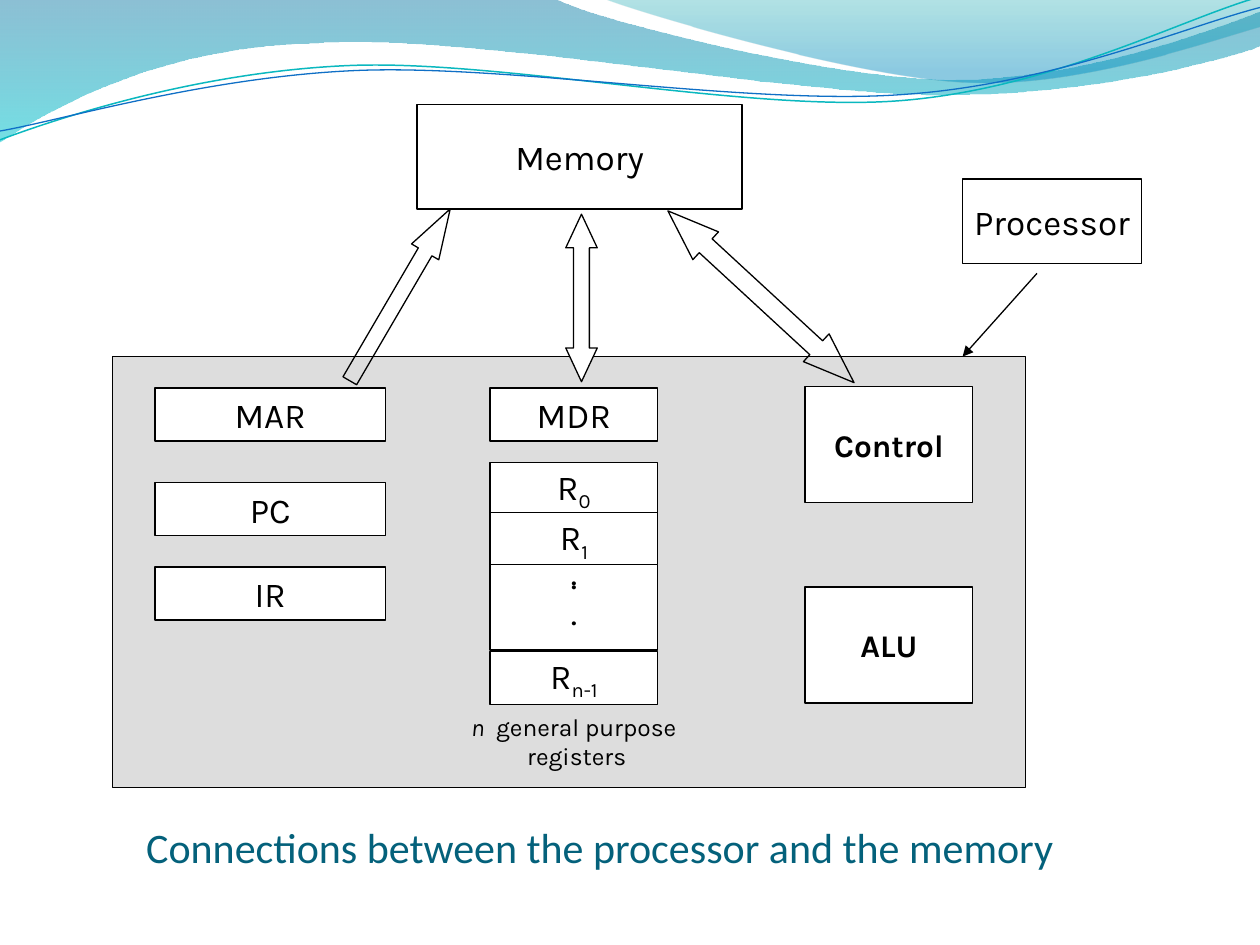
from math import cos, radians, sin

from lxml import etree
from pptx import Presentation
from pptx.dml.color import RGBColor
from pptx.enum import shapes, text
from pptx.oxml.ns import qn
from pptx.util import Inches, Pt

BLACK = RGBColor(0, 0, 0)
WHITE = RGBColor(0xFF, 0xFF, 0xFF)
PANEL_GREY = RGBColor(0xDD, 0xDD, 0xDD)
TITLE_TEAL = RGBColor(0x04, 0x61, 0x7B)
DEEP_BLUE = RGBColor(0x00, 0x74, 0xA1)
AQUA = RGBColor(0x00, 0xC6, 0xCF)
SEA_GREEN = RGBColor(0x00, 0xA1, 0xA9)
SKY_BLUE = RGBColor(0x00, 0x8B, 0xBF)
LINE_TEAL = RGBColor(0x0A, 0xB8, 0xBF)
LINE_BLUE = RGBColor(0x0F, 0x6F, 0xC6)

LABEL = {"name": "Karla", "size": Pt(20)}
UNIT = {"name": "Karla", "size": Pt(18), "bold": True}
NOTE = {"name": "Karla", "size": Pt(14)}
SUBSCRIPT = {"baseline": -25000}
TILT = 2.7


def add_outline(page, points, sizes, close):
    """Draw a start point, then segments of one point (line) or three (curve)."""
    points = [(Inches(x), Inches(y)) for x, y in points]
    builder = page.shapes.build_freeform(*points[0])
    builder.add_line_segments(points[1:], close=close)
    outline = builder.convert_to_shape()
    outline.shadow.inherit = False
    segments = iter(list(outline._element.iter(qn("a:lnTo"))))
    for size in sizes:
        first = next(segments)
        if size == 3:
            first.addprevious(curve := etree.Element(qn("a:cubicBezTo")))
            for part in (first, next(segments), next(segments)):
                curve.append(part[0])
                part.getparent().remove(part)
    return outline


def path_points(start, segments):
    points = [start]
    for segment in segments:
        points += zip(segment[::2], segment[1::2])
    return points, [len(segment) // 2 for segment in segments]


def add_wave(page, start, segments, stops):
    """Fill a wave from top to bottom; each stop is position, colour, opacity."""
    wave = add_outline(page, *path_points(start, segments), True)
    wave.line.fill.background()
    wave.fill.gradient()
    wave.fill.gradient_angle = 270
    for stop, (position, colour, _) in zip(wave.fill.gradient_stops, stops):
        stop.position = position
        stop.color.rgb = colour
    colours = wave.fill._xPr.iter(qn("a:srgbClr"))
    for element, (_, _, opacity) in zip(colours, stops):
        etree.SubElement(element, qn("a:alpha")).set("val", str(opacity * 1000))


def add_wave_line(page, centre, start, segments, colour, width):
    """Draw a line level, then tilt it about its centre onto the given points."""
    points, sizes = path_points(start, segments)
    (cx, cy), s, c = centre, sin(radians(TILT)), cos(radians(TILT))
    level = [(cx + (x - cx) * c - (y - cy) * s, cy + (x - cx) * s + (y - cy) * c)
             for x, y in points]
    stroke = add_outline(page, level, sizes, False)
    stroke.rotation = 360 - TILT
    stroke.fill.background()
    stroke.line.color.rgb = colour
    stroke.line.width = Pt(width)


def draw_waves(page):
    add_wave(page, (0, 0),
             [(4.4, -0.01), (4.76, 0.17, 6.64, 0.63, 7.58, 0.63),
              (8.53, 0.63, 9.58, 0.26, 10, 0.09), (10.01, 0.36),
              (9.83, 0.44, 8.7, 0.76, 7.46, 0.75),
              (6.22, 0.75, 3.82, 0.28, 2.57, 0.34),
              (1.29, 0.36, 0.46, 0.83, -0.01, 1.13)],
             [(0, DEEP_BLUE, 45), (1, AQUA, 55)])
    add_wave(page, (4.79, -0.01),
             [(5.09, 0.11, 6.82, 0.62, 7.69, 0.65),
              (8.56, 0.69, 9.61, 0.32, 10, 0.21), (10, 0)],
             [(0, SEA_GREEN, 30), (0.8, SKY_BLUE, 45)])
    add_wave_line(page, (4.99, 0.58), (0, 1.11),
                  [(0.48, 0.93, 1.58, 0.57, 2.77, 0.52),
                   (3.95, 0.47, 5.93, 0.89, 7.13, 0.8),
                   (8.33, 0.71, 9.38, 0.15, 9.98, -0.02)], LINE_TEAL, 0.85)
    add_wave_line(page, (5, 0.59), (0, 1.04),
                  [(0.47, 0.96, 1.64, 0.61, 2.83, 0.56),
                   (4.03, 0.51, 5.97, 0.84, 7.17, 0.75),
                   (8.36, 0.67, 9.41, 0.21, 10, 0.06)], LINE_BLUE, 0.75)


def write(shape, paras, font, spacings=()):
    """Fill a shape with centred paragraphs, each a list of (text, extra format)."""
    frame = shape.text_frame
    frame.word_wrap = False
    frame.vertical_anchor = text.MSO_ANCHOR.MIDDLE
    for index, spans in enumerate(paras):
        para = frame.paragraphs[0] if index == 0 else frame.add_paragraph()
        para.alignment = text.PP_ALIGN.CENTER
        if index < len(spacings):
            para.line_spacing = spacings[index]
        for words, extra in spans:
            span = para.add_run()
            span.text = words
            span.font.color.rgb = BLACK
            for key, value in {**font, **extra}.items():
                if key == "baseline":
                    span.font._element.set(key, str(value))
                else:
                    setattr(span.font, key, value)


def add_figure(page, kind, left, top, width, height, fill=WHITE):
    figure = page.shapes.add_shape(kind, Inches(left), Inches(top),
                                   Inches(width), Inches(height))
    figure.shadow.inherit = False
    if fill is None:
        figure.fill.background()
    else:
        figure.fill.solid()
        figure.fill.fore_color.rgb = fill
    figure.line.color.rgb = BLACK
    figure.line.width = Pt(0.75)
    return figure


def add_box(page, left, top, width, height, *spans, font=LABEL):
    box = add_figure(page, shapes.MSO_SHAPE.RECTANGLE, left, top, width, height)
    write(box, [spans], font)


def draw_processor(page, left, top, width, height):
    add_figure(page, shapes.MSO_SHAPE.RECTANGLE, left, top, width, height, PANEL_GREY)
    row, column = 0.42, 1.33
    for name, offset in (("MAR", 0.25), ("PC", 1), ("IR", 1.67)):
        add_box(page, left + 0.34, top + offset, 1.83, row, (name, {}))

    middle = left + 3
    add_box(page, middle, top + 0.25, column, row, ("MDR", {}))
    for index, offset in (("0", 0.84), ("1", 1.24), ("n-1", 2.34)):
        add_box(page, middle, top + offset, column, row, ("R", {}), (index, SUBSCRIPT))
    dots = add_figure(page, shapes.MSO_SHAPE.RECTANGLE, middle, top + 1.65, column, 0.68)
    write(dots, [[(".", {})]] * 3, LABEL, spacings=(0.1, 0.1))

    for name, offset in (("Control", 0.24), ("ALU", 1.83)):
        add_box(page, left + 5.5, top + offset, column, 0.92, (name, {}), font=UNIT)

    note = page.shapes.add_textbox(Inches(middle - 0.25), Inches(top + 2.84),
                                   Inches(column + 0.5), Inches(row))
    write(note, [[("n", {"italic": True}), ("  general purpose", {})],
                 [(" registers", {})]], NOTE)
    note.text_frame.margin_left = note.text_frame.margin_right = 0


def draw_arrows(page):
    both, up = shapes.MSO_SHAPE.UP_DOWN_ARROW, shapes.MSO_SHAPE.UP_ARROW
    for kind, place, ratios, turn, fill in (
            (both, (4.49, 1.7, 0.25, 1.33), {"adj1": 0.5, "adj2": 1.07}, 0, WHITE),
            (up, (3.05, 1.55, 0.25, 1.58), {"adj1": 0.5, "adj2": 1.58}, 30.3, None),
            (both, (5.89, 1.35, 0.3, 2.01), {"adj1": 0.5, "adj2": 1.36}, 312.7, None)):
        arrow = add_figure(page, kind, *place, fill=fill)
        arrow.rotation = turn
        arrow.adjustments[0] = 0.5
        for guide in arrow._element.iter(qn("a:gd")):
            guide.set("fmla", f"val {round(ratios[guide.get('name')] * 100000)}")


def draw_processor_label(page, left, top):
    add_box(page, left, top, 1.42, 0.67, ("Processor", {}))
    pointer = page.shapes.add_connector(
        shapes.MSO_CONNECTOR.STRAIGHT, Inches(left + 0.59), Inches(top + 0.75),
        Inches(left), Inches(top + 1.41))
    pointer.line.color.rgb = BLACK
    pointer.line.width = Pt(0.75)
    etree.SubElement(pointer.line._get_or_add_ln(), qn("a:tailEnd")).set("type", "triangle")
    etree.SubElement(pointer._element.spPr, qn("a:effectLst"))


def draw_title(page, left, top, width, height):
    title = page.shapes.add_textbox(Inches(left), Inches(top), Inches(width), Inches(height))
    frame = title.text_frame
    for key, value in {"word_wrap": True, "vertical_anchor": text.MSO_ANCHOR.BOTTOM,
                       "margin_left": Inches(0.6), "margin_right": 0,
                       "margin_bottom": 0}.items():
        setattr(frame, key, value)
    span = frame.paragraphs[0].add_run()
    span.text = "Connections between the processor and the memory"
    span.font.color.rgb = TITLE_TEAL
    for key, value in {"name": "Calibri", "size": Pt(24)}.items():
        setattr(span.font, key, value)


def main():
    deck = Presentation()
    deck.slide_width, deck.slide_height = Inches(10), Inches(7.5)
    page = deck.slides.add_slide(deck.slide_layouts[6])
    draw_waves(page)
    draw_title(page, 0.56, 6.41, 8.52, 0.51)
    draw_processor(page, 0.89, 2.83, 7.25, 3.42)
    add_box(page, 3.31, 0.83, 2.58, 0.83, ("Memory", {}))
    draw_arrows(page)
    draw_processor_label(page, 7.64, 1.42)
    deck.save("out.pptx")


if __name__ == "__main__":
    main()
